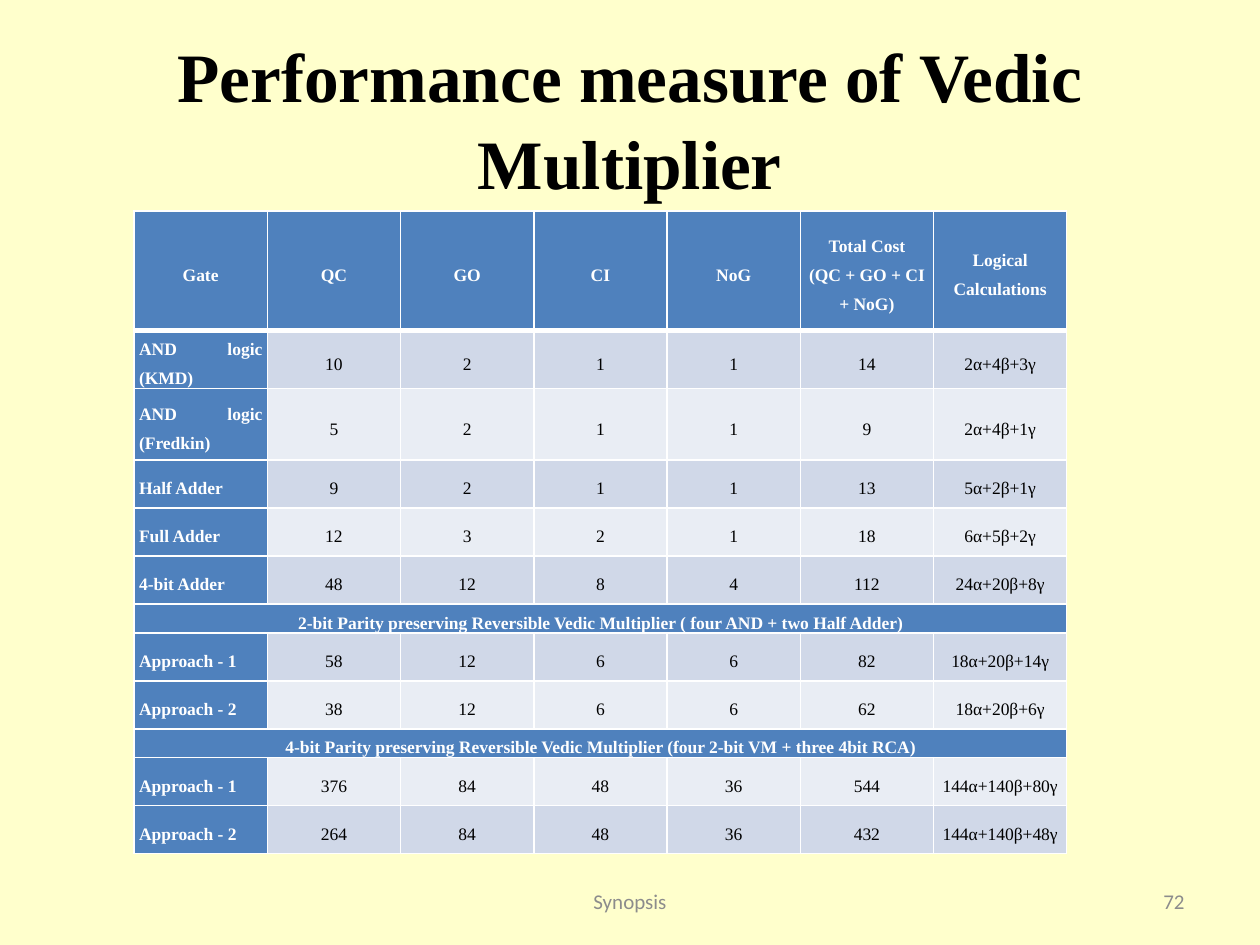
import dataclasses

import lxml.etree
import pptx
import pptx.dml.color
import pptx.enum.text
import pptx.oxml.ns
import pptx.util

Pt = pptx.util.Pt
ALIGN = pptx.enum.text.PP_ALIGN
MIDDLE = pptx.enum.text.MSO_ANCHOR.MIDDLE


@dataclasses.dataclass(frozen=True)
class Theme:
    background: str = "FFFFCC"
    ink: str = "000000"
    light: str = "FFFFFF"
    heading: str = "4F81BD"
    band_dark: str = "D0D8E8"
    band_light: str = "E9EDF4"
    muted: str = "8C8C8C"
    serif: str = "Times New Roman"
    sans: str = "Calibri"
    title_size: float = 39.6
    table_size: float = 10
    footer_size: float = 12
    rule: float = 1
    heavy_rule: float = 3


THEME = Theme()

HEADINGS = ["Gate", "QC", "GO", "CI", "NoG",
            "Total Cost\n(QC + GO + CI + NoG)", "Logical Calculations"]
MEASURES = [
    ["AND logic (KMD)", "10", "2", "1", "1", "14", "2α+4β+3γ"],
    ["AND logic (Fredkin)", "5", "2", "1", "1", "9", "2α+4β+1γ"],
    ["Half Adder", "9", "2", "1", "1", "13", "5α+2β+1γ"],
    ["Full Adder", "12", "3", "2", "1", "18", "6α+5β+2γ"],
    ["4-bit Adder", "48", "12", "8", "4", "112", "24α+20β+8γ"],
    ["2-bit Parity preserving Reversible Vedic Multiplier ( four AND + two Half Adder)"],
    ["Approach - 1", "58", "12", "6", "6", "82", "18α+20β+14γ"],
    ["Approach - 2", "38", "12", "6", "6", "62", "18α+20β+6γ"],
    ["4-bit Parity preserving Reversible Vedic Multiplier (four 2-bit VM + three 4bit RCA)"],
    ["Approach - 1", "376", "84", "48", "36", "544", "144α+140β+80γ"],
    ["Approach - 2", "264", "84", "48", "36", "432", "144α+140β+48γ"],
]
ROW_HEIGHTS = [68.4, 27.4, 41, 27.4, 27.4, 27.4, 13.7, 27.4, 27.4, 13.7, 27.4, 27.4]


def rgb(value):
    return pptx.dml.color.RGBColor.from_string(value)


def format_text(frame, align, font, size, color, bold=False, spacing=None):
    for paragraph in frame.paragraphs:
        paragraph.alignment = align
        paragraph.line_spacing = spacing
        for run in paragraph.runs:
            run.font.name = font
            run.font.size = Pt(size)
            run.font.bold = bold
            run.font.color.rgb = rgb(color)


def set_borders(cell, top, bottom):
    properties = cell._tc.get_or_add_tcPr()
    sides = {"lnL": THEME.rule, "lnR": THEME.rule, "lnT": top, "lnB": bottom}
    for position, (side, width) in enumerate(sides.items()):
        line = lxml.etree.Element(pptx.oxml.ns.qn(f"a:{side}"), w=str(int(Pt(width))))
        fill = lxml.etree.SubElement(line, pptx.oxml.ns.qn("a:solidFill"))
        lxml.etree.SubElement(fill, pptx.oxml.ns.qn("a:srgbClr"), val=THEME.light)
        properties.insert(position, line)


def add_title(slide, left, top, width, height):
    title = slide.shapes.title
    title.left, title.top, title.width, title.height = map(Pt, (left, top, width, height))
    frame = title.text_frame
    frame.text = "Performance measure of Vedic Multiplier"
    frame.word_wrap = True
    frame.auto_size = pptx.enum.text.MSO_AUTO_SIZE.NONE
    frame.vertical_anchor = MIDDLE
    format_text(frame, ALIGN.CENTER, THEME.serif, THEME.title_size, THEME.ink, True, 1.04)


def style_cell(cell, row, column, is_section):
    is_heading = row == 0 or column == 0 or is_section
    band = THEME.band_dark if row % 2 else THEME.band_light
    cell.fill.solid()
    cell.fill.fore_color.rgb = rgb(THEME.heading if is_heading else band)
    cell.vertical_anchor = MIDDLE
    cell.margin_left = cell.margin_right = Pt(2.9)
    cell.margin_top = cell.margin_bottom = Pt(0)
    is_gate = column == 0 and row > 0 and not is_section
    format_text(cell.text_frame, ALIGN.JUSTIFY if is_gate else ALIGN.CENTER,
                THEME.serif, THEME.table_size,
                THEME.light if is_heading else THEME.ink, is_heading, 1.5)
    set_borders(cell,
                top=THEME.heavy_rule if row == 1 else THEME.rule,
                bottom=THEME.heavy_rule if row == 0 else THEME.rule)


def add_measure_table(slide, left, top, width):
    rows = [HEADINGS] + MEASURES
    count = len(HEADINGS)
    table = slide.shapes.add_table(len(rows), count, Pt(left), Pt(top),
                                   Pt(width), Pt(sum(ROW_HEIGHTS))).table
    for column in table.columns:
        column.width = Pt(width / count)
    for row, (values, height) in enumerate(zip(rows, ROW_HEIGHTS)):
        table.rows[row].height = Pt(height)
        is_section = len(values) == 1
        if is_section:
            table.cell(row, 0).merge(table.cell(row, count - 1))
        for column in range(count):
            cell = table.cell(row, column)
            if column < len(values):
                cell.text_frame.text = values[column]
            style_cell(cell, row, column, is_section)


def add_footer_text(slide, text, align, left, top, width, height):
    footer = slide.shapes.add_textbox(Pt(left), Pt(top), Pt(width), Pt(height))
    frame = footer.text_frame
    frame.text = text
    frame.word_wrap = True
    frame.vertical_anchor = MIDDLE
    format_text(frame, align, THEME.sans, THEME.footer_size, THEME.muted)


def add_footer(slide, top, height):
    add_footer_text(slide, "Synopsis", ALIGN.CENTER, 246, top, 228, height)
    add_footer_text(slide, "72", ALIGN.RIGHT, 516, top, 168, height)


def main():
    deck = pptx.Presentation()
    deck.slide_width, deck.slide_height = Pt(720), Pt(540)
    slide = deck.slides.add_slide(deck.slide_layouts[5])
    slide.background.fill.solid()
    slide.background.fill.fore_color.rgb = rgb(THEME.background)
    add_title(slide, 36, 21.6, 648, 90)
    add_measure_table(slide, 76.6, 120.5, 533)
    add_footer(slide, 500.5, 28.75)
    deck.save("out.pptx")


if __name__ == "__main__":
    main()
